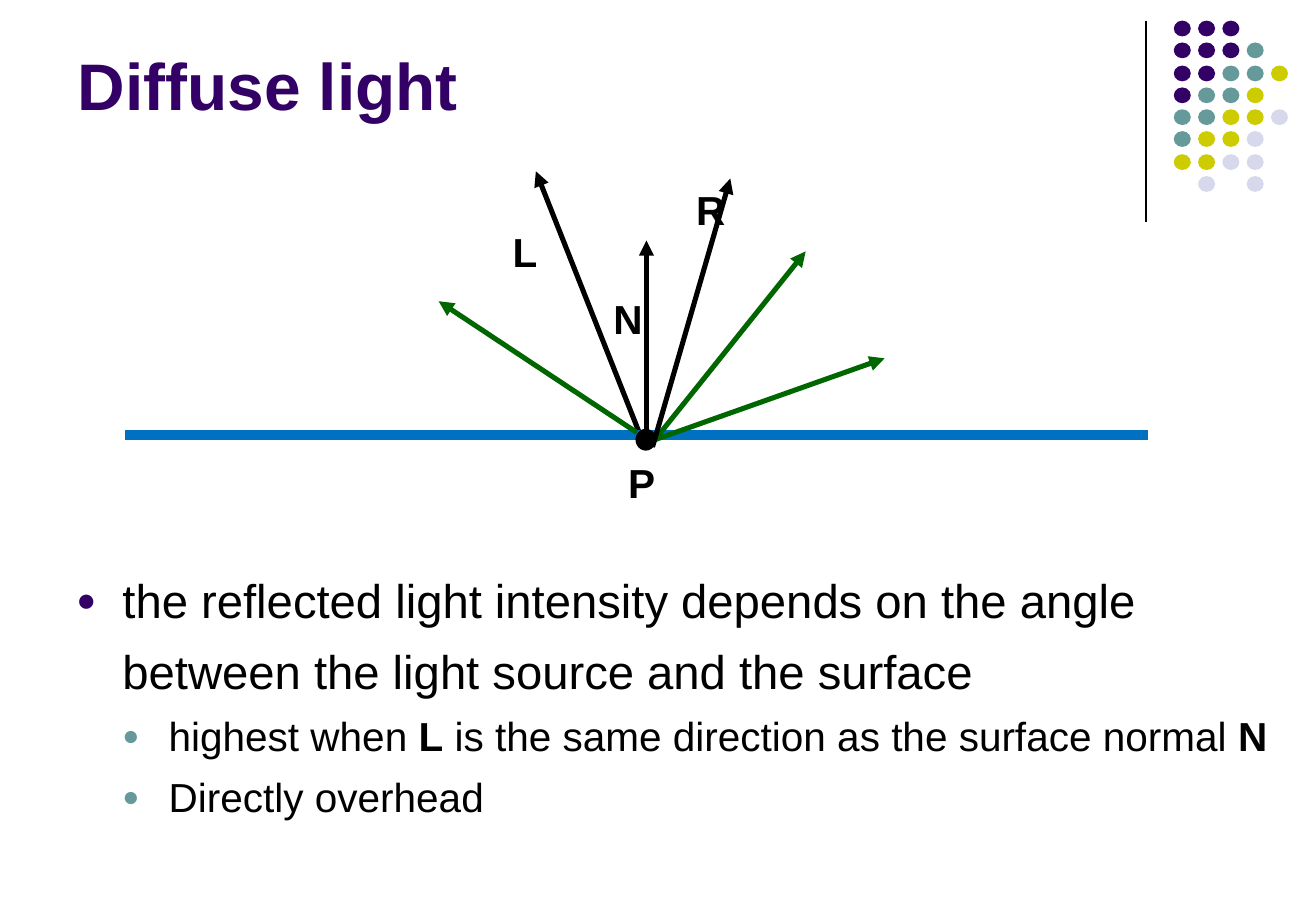
import lxml.etree
import pptx
import pptx.dml.color
import pptx.enum.shapes
import pptx.enum.text
import pptx.oxml.ns
import pptx.util

PX = 9144  # 100 px to the inch
FONT = "Arial"
COLORS = {
    "purple": "330066", "teal": "669999", "olive": "CCCC00", "pale": "D8D8EC",
    "black": "000000", "green": "006600", "blue": "0070C0",
}
DOT_COLORS = {"P": "purple", "T": "teal", "O": "olive", "L": "pale"}
DOT_ROWS = ["PPP", "PPPT", "PPTTO", "PTTO", "TTOOL", "TOOL", "OOLL", " L L"]


def rgb(name):
    return pptx.dml.color.RGBColor.from_string(COLORS[name])


def px(*lengths):
    return [pptx.util.Emu(length * PX) for length in lengths]


def add_xml(parent, tag, **attributes):
    return lxml.etree.SubElement(parent, pptx.oxml.ns.qn(tag), attributes)


def add_run(para, text, size, color="black", bold=False):
    run = para.add_run()
    run.text = text
    run.font.name = FONT
    run.font.size = pptx.util.Pt(size)
    run.font.bold = bold
    run.font.color.rgb = rgb(color)


def add_line(page, start, end, color, width, arrow=False):
    line = page.shapes.add_connector(
        pptx.enum.shapes.MSO_CONNECTOR.STRAIGHT, *px(*start, *end))
    line.line.color.rgb = rgb(color)
    line.line.width = pptx.util.Pt(width)
    if arrow:
        add_xml(line.line._get_or_add_ln(), "a:tailEnd", type="triangle")
    add_xml(line._element.spPr, "a:effectLst")


def add_dot(page, box, color):
    dot = page.shapes.add_shape(pptx.enum.shapes.MSO_SHAPE.OVAL, *px(*box))
    dot.shadow.inherit = False
    dot.fill.solid()
    dot.fill.fore_color.rgb = rgb(color)
    dot.line.fill.background()


def add_ornament(page, box):
    """Vertical rule with the dot pattern to its right."""
    left, top, width, height = box
    add_line(page, (left, top), (left, top + height), "black", 0.75)
    for row, letters in enumerate(DOT_ROWS):
        for column, letter in enumerate(letters):
            if letter in DOT_COLORS:
                spot = (left + 23 + 20 * column, top + round(row * 128 / 7), 14, 13)
                add_dot(page, spot, DOT_COLORS[letter])


def add_title(page, box, text):
    title = page.shapes.title
    title.left, title.top, title.width, title.height = px(*box)
    frame = title.text_frame
    frame.vertical_anchor = pptx.enum.text.MSO_ANCHOR.BOTTOM
    para = frame.paragraphs[0]
    para.alignment = pptx.enum.text.PP_ALIGN.LEFT
    add_run(para, text, 39, "purple", True)


def add_diagram(page, box):
    """Light rays meeting the surface at P."""
    left, top, width, height = box

    def at(x, y):
        return left + x, top + y

    # Light direction, surface and the point on it
    add_line(page, at(423, 215), at(338, 0), "black", 3, True)
    add_line(page, at(0, 217), at(width, 217), "blue", 6)
    add_dot(page, (*at(420, 212), 17, 18), "black")

    # Normal, mirror direction and scattered rays
    rays = [
        ((436, 221), (560, 66), "green"),
        ((429, 221), (429, 57), "black"),
        ((436, 221), (625, 154), "green"),
        ((421, 215), (258, 107), "green"),
        ((434, 227), (498, 6), "black"),
    ]
    for start, end, color in rays:
        add_line(page, at(*start), at(*end), color, 3, True)

    # Letters
    for letter, x, y in [("P", 404, 231), ("L", 309, 41), ("N", 392, 96), ("R", 460, 6)]:
        label = page.shapes.add_textbox(*px(*at(x, y), 59, 50))
        label.text_frame.word_wrap = True
        add_run(label.text_frame.paragraphs[0], letter, 24, bold=True)


def add_bullets(page, box, items):
    """Bulleted text; each item is a level and its (text, bold) spans."""
    frame = page.shapes.add_textbox(*px(*box)).text_frame
    frame.word_wrap = True
    for index, (level, spans) in enumerate(items):
        para = frame.add_paragraph() if index else frame.paragraphs[0]
        para.level = level
        para.line_spacing = 1.25
        properties = para._p.get_or_add_pPr()
        properties.set("marL", str(38 * (level + 1) * PX))
        properties.set("indent", str(-38 * PX))
        bullet_color = add_xml(properties, "a:buClr")
        add_xml(bullet_color, "a:srgbClr", val=COLORS[("purple", "teal")[level]])
        add_xml(properties, "a:buSzPct", val="70000")
        add_xml(properties, "a:buFont", typeface=FONT)
        add_xml(properties, "a:buChar", char="●")
        for text, bold in spans:
            add_run(para, text, (28, 24)[level], bold=bold)


def main():
    deck = pptx.Presentation()
    deck.slide_width, deck.slide_height = px(1083, 750)
    page = deck.slides.add_slide(deck.slide_layouts[5])
    add_ornament(page, (943, 17, 117, 166))
    add_title(page, (54, 13, 894, 94), "Diffuse light")
    add_diagram(page, (103, 141, 842, 281))
    add_bullets(page, (53, 454, 1007, 276), [
        (0, [("the reflected light intensity depends on the angle "
              "between the light source and the surface", False)]),
        (1, [("highest when ", False), ("L", True),
             (" is the same direction as the surface normal ", False), ("N", True)]),
        (1, [("Directly overhead", False)]),
    ])
    deck.save("out.pptx")


if __name__ == "__main__":
    main()
